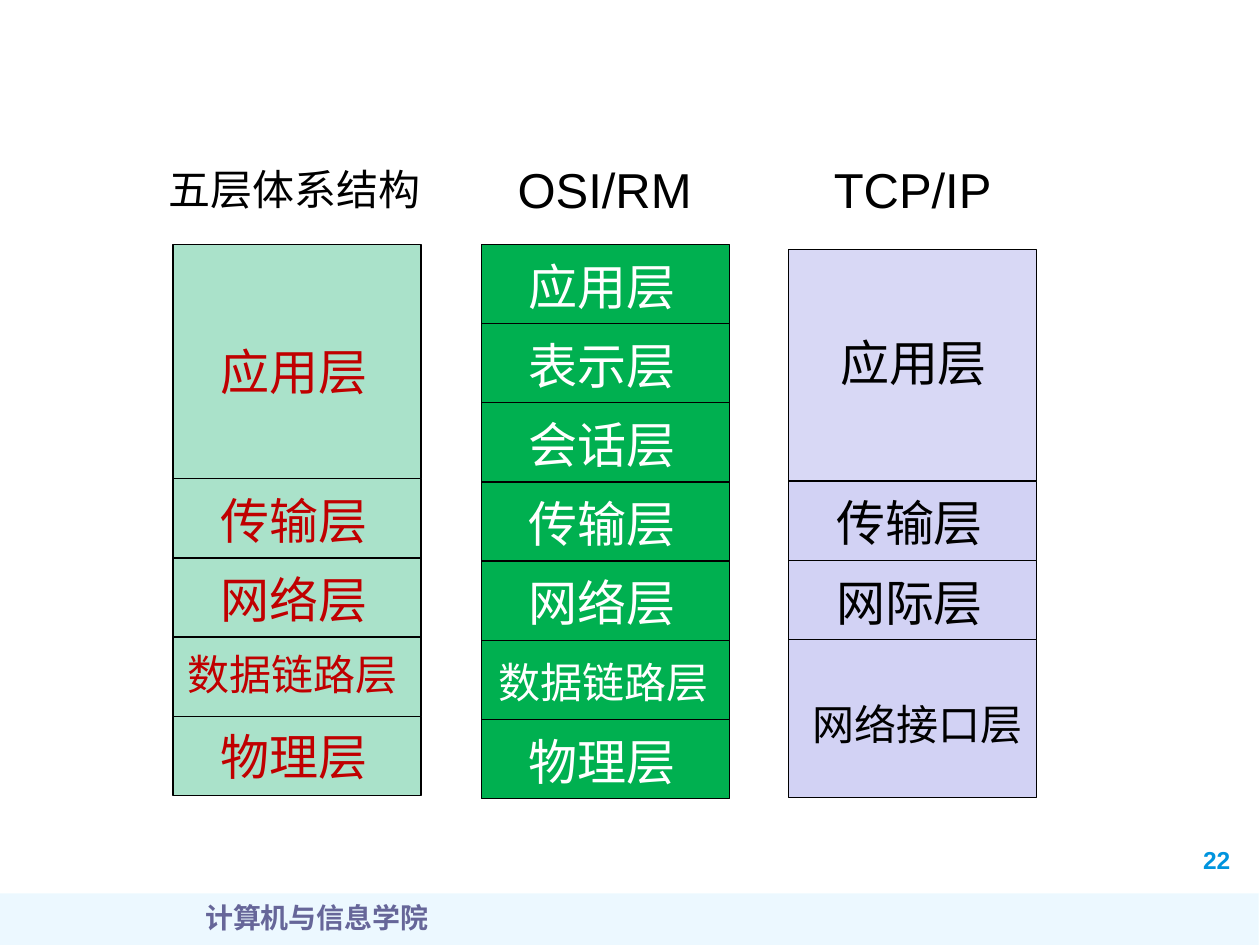
from dataclasses import dataclass

from lxml import etree
from pptx import Presentation
from pptx.dml.color import RGBColor
from pptx.enum.shapes import MSO_SHAPE
from pptx.enum.text import MSO_AUTO_SIZE, PP_ALIGN
from pptx.oxml.ns import qn
from pptx.util import Pt

RECTANGLE = MSO_SHAPE.RECTANGLE
GROW = MSO_AUTO_SIZE.SHAPE_TO_FIT_TEXT
LEFT, CENTER = PP_ALIGN.LEFT, PP_ALIGN.CENTER


@dataclass(frozen=True)
class Theme:
    black: str = "000000"
    white: str = "FFFFFF"
    red: str = "C00000"
    mint: str = "AAE2CA"
    green: str = "00B050"
    lilac: str = "D2D2F4"
    violet: str = "A5A5E9"
    footer_blue: str = "A7E2FF"
    number_blue: str = "0094DE"
    school_purple: str = "666699"
    font: str = "Arial"
    footer_font: str = "Times New Roman"
    large: int = 28
    medium: int = 24
    footer: int = 16
    number: int = 14


@dataclass(frozen=True)
class Layer:
    name: str
    height: float = 45.25
    size: int = Theme.large
    width: float = 102.2
    dx: float = 20
    dy: float = 3.2
    fill: str = ""
    opacity: int = 100


class Deck:
    """Hold the theme and the current slide, and draw each kind of element."""

    def __init__(self, theme):
        self.theme = theme
        self.presentation = Presentation()
        self.presentation.slide_width = Pt(720)
        self.presentation.slide_height = Pt(540)
        self.slide = self.presentation.slides.add_slide(self.presentation.slide_layouts[6])

    def block(self, left, top, width, height, fill, opacity=100, outlined=True):
        block = self.slide.shapes.add_shape(RECTANGLE, Pt(left), Pt(top), Pt(width), Pt(height))
        block.shadow.inherit = False
        block.fill.solid()
        block.fill.fore_color.rgb = RGBColor.from_string(fill)
        if opacity < 100:
            color = block.fill._xPr.find(qn("a:solidFill"))[0]
            etree.SubElement(color, qn("a:alpha"), val=str(opacity * 1000))
        if outlined:
            block.line.color.rgb = RGBColor.from_string(self.theme.black)
            block.line.width = Pt(0.75)
        else:
            block.line.fill.background()

    def label(self, text, left, top, width, height, size, color,
              font=None, bold=False, align=LEFT, grow=True):
        box = self.slide.shapes.add_textbox(Pt(left), Pt(top), Pt(width), Pt(height))
        frame = box.text_frame
        frame.word_wrap = True
        if grow:
            frame.auto_size = GROW
        paragraph = frame.paragraphs[0]
        paragraph.alignment = align
        run = paragraph.add_run()
        run.text = text
        run.font.name = font or self.theme.font
        run.font.size = Pt(size)
        run.font.bold = bold
        run.font.color.rgb = RGBColor.from_string(color)

    def stack(self, left, top, fill, color, layers):
        for layer in layers:
            self.block(left, top, 141.75, layer.height, layer.fill or fill, layer.opacity)
            label_height = 41 if layer.size == self.theme.large else 36
            self.label(layer.name, left + layer.dx, top + layer.dy, layer.width,
                       label_height, layer.size, color)
            top += layer.height

    def save(self):
        self.presentation.save("out.pptx")


def main():
    theme = Theme()
    deck = Deck(theme)

    deck.block(-0.7, 510.5, 720, 31.7, theme.footer_blue, opacity=21, outlined=False)
    deck.label("22", 680.4, 479.5, 42.5, 24, theme.number, theme.number_blue, bold=True)
    deck.label("计算机与信息学院", 19.4, 511.2, 323.3, 36, theme.footer, theme.school_purple,
               font=theme.footer_font, bold=True, align=CENTER, grow=False)

    medium = theme.medium
    deck.stack(450.7, 142.5, theme.lilac, theme.black, [
        Layer("应用层", height=132.5, dx=22.3, dy=44, fill=theme.violet, opacity=43),
        Layer("传输层"),
        Layer("网际层"),
        Layer("网络接口层", height=90.25, size=medium, width=138.2, dx=6.5, dy=30.2),
    ])
    deck.stack(275, 139.7, theme.green, theme.white, [
        Layer("应用层"),
        Layer("表示层"),
        Layer("会话层"),
        Layer("传输层"),
        Layer("网络层"),
        Layer("数据链路层", size=medium, width=141.8, dx=2.9, dy=5.8),
        Layer("物理层"),
    ])
    deck.stack(98.8, 139.7, theme.mint, theme.red, [
        Layer("应用层", height=133.9, dy=51.8),
        Layer("传输层"),
        Layer("网络层"),
        Layer("数据链路层", size=medium, width=141.8, dx=1.4, dy=2.9),
        Layer("物理层", dy=2.5),
    ])

    deck.label("TCP/IP", 469.4, 87.8, 111.6, 41, theme.large, theme.black)
    deck.label("OSI/RM", 288.7, 87.8, 121, 41, theme.large, theme.black)
    deck.label("五层体系结构", 89.3, 90, 165.6, 36, medium, theme.black)
    deck.save()


if __name__ == "__main__":
    main()
